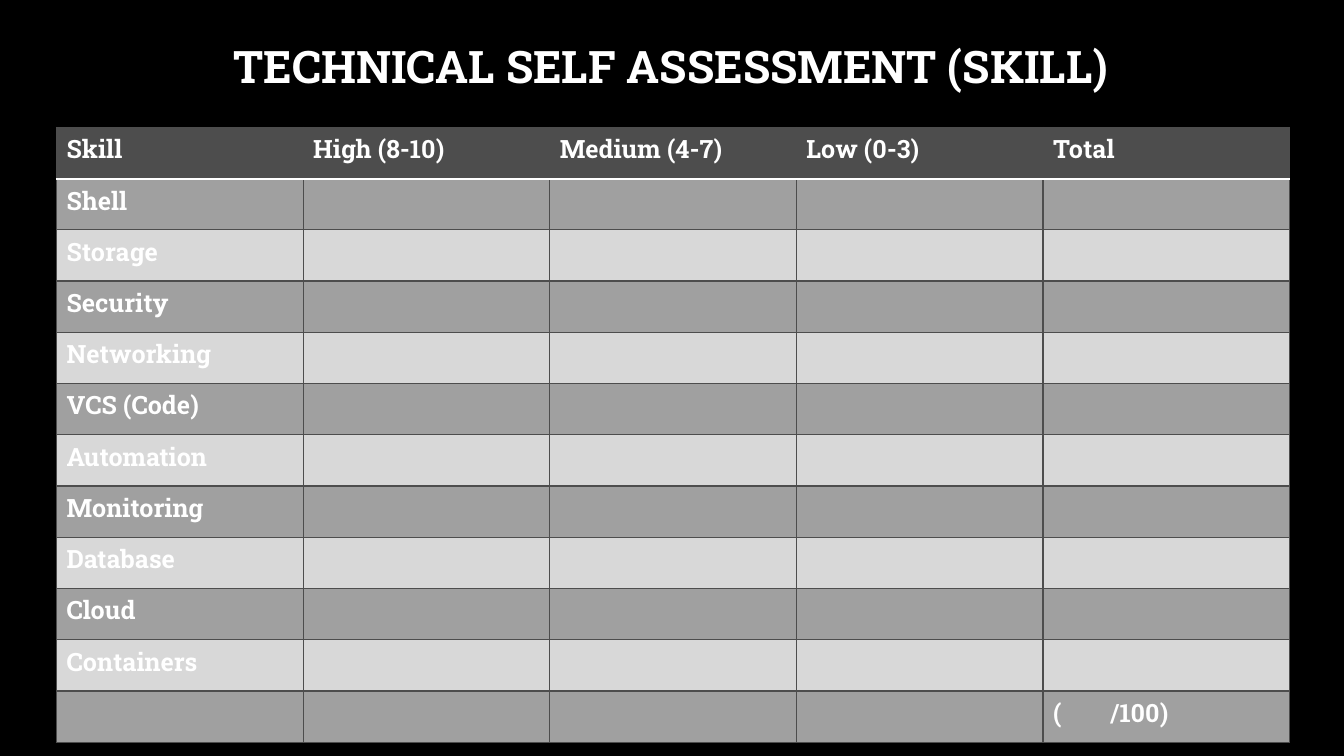
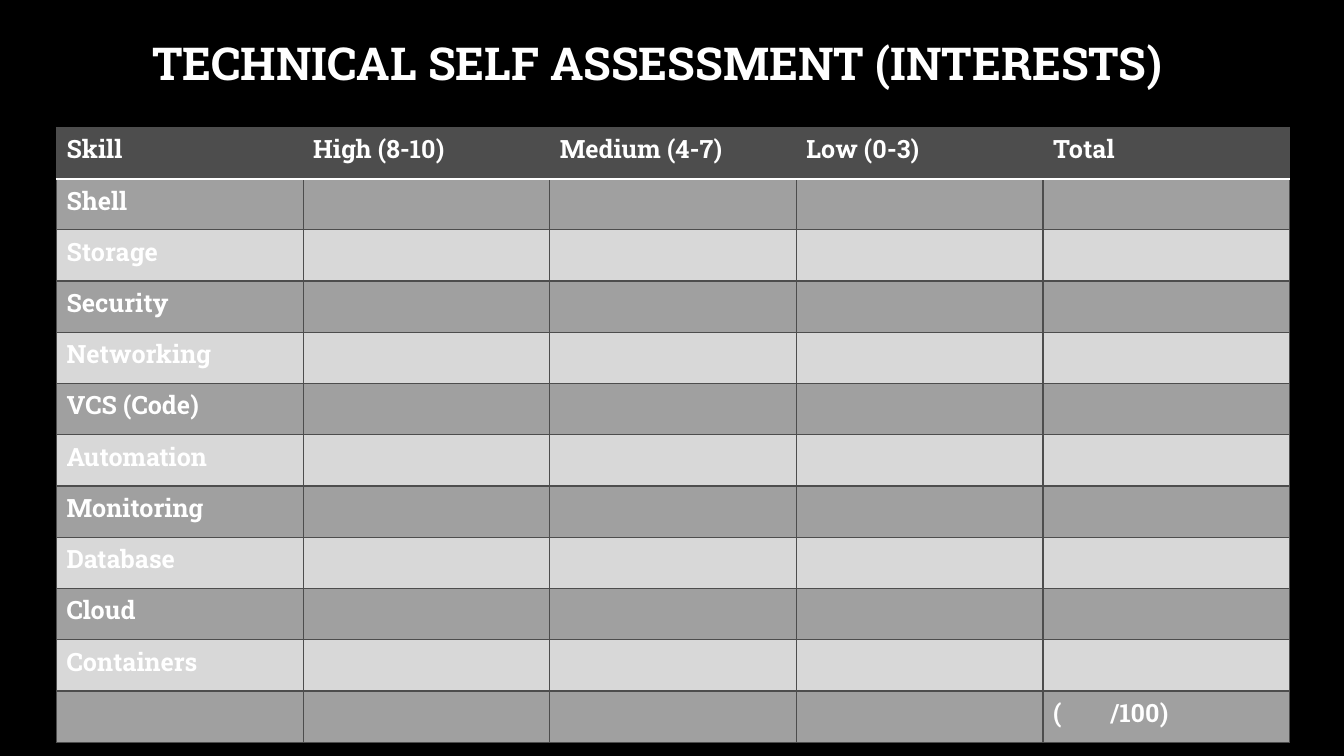
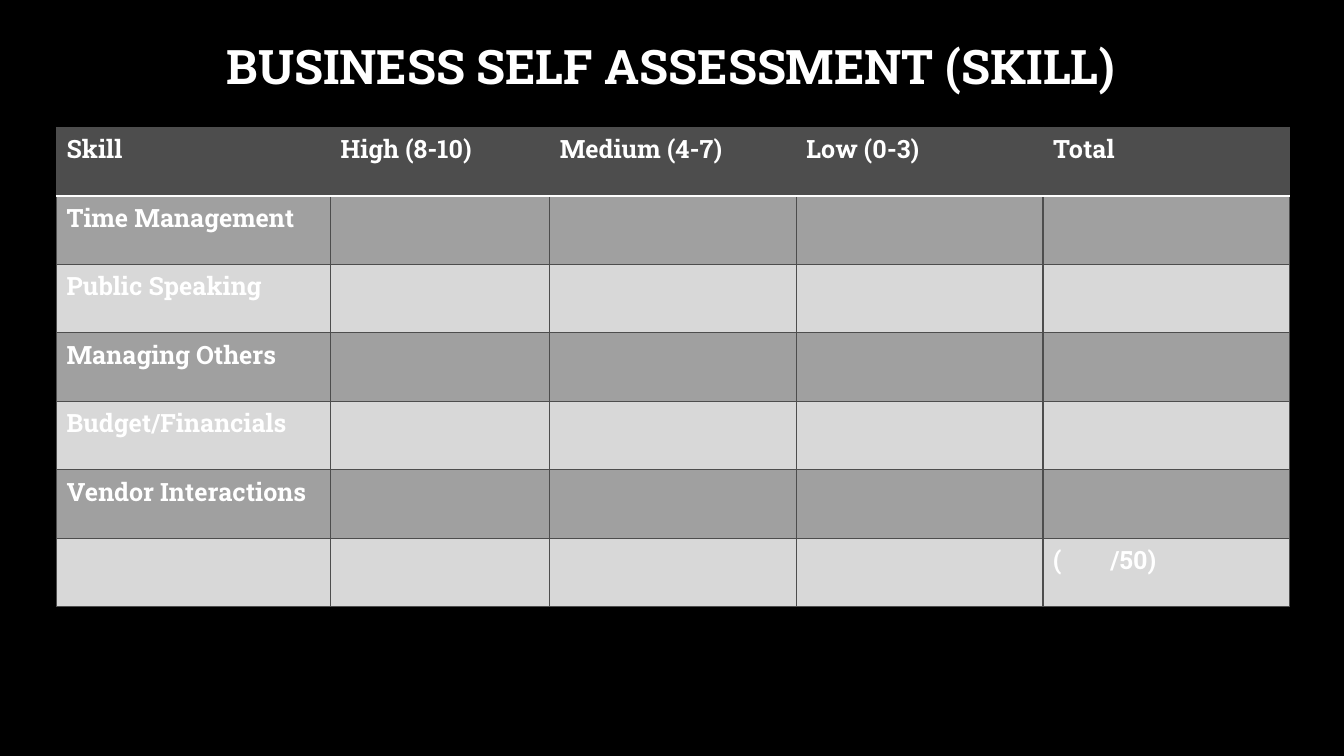
"""Builds three self-assessment slides, each with a title and a scoring table."""
from lxml import etree
from pptx import Presentation
from pptx.dml.color import RGBColor
from pptx.enum.text import MSO_ANCHOR, PP_ALIGN
from pptx.oxml.ns import qn
from pptx.util import Pt

CENTER = PP_ALIGN.CENTER
LEFT = PP_ALIGN.LEFT
MIDDLE = MSO_ANCHOR.MIDDLE

HEADINGS = ["Skill", "High (8-10)", "Medium (4-7)", "Low (0-3)", "Total"]
TECHNICAL_SKILLS = [
    "Shell", "Storage", "Security", "Networking", "VCS (Code)",
    "Automation", "Monitoring", "Database", "Cloud", "Containers",
]
BUSINESS_SKILLS = [
    "Time Management", "Public Speaking", "Managing Others",
    "Budget/Financials", "Vendor Interactions",
]


def color(value):
    return RGBColor.from_string(value)


def write(frame, text, size=18, align=LEFT, line_spacing=None, tab_stop=None):
    paragraph = frame.paragraphs[0]
    paragraph.alignment = align
    paragraph.line_spacing = line_spacing
    run = paragraph.add_run()
    run.text = text
    run.font.name = Deck.FONT
    run.font.size = Pt(size)
    run.font.bold = True
    run.font.color.rgb = color(Deck.WHITE)
    if tab_stop:
        tabs = etree.SubElement(paragraph._p.get_or_add_pPr(), qn("a:tabLst"))
        etree.SubElement(tabs, qn("a:tab"), pos=str(Pt(tab_stop)), algn="l")


def set_border(cell, side, line_color, width):
    properties = cell._tc.get_or_add_tcPr()
    line = etree.SubElement(properties, qn(f"a:ln{side}"), w=str(Pt(width)))
    fill = etree.SubElement(line, qn("a:solidFill"))
    etree.SubElement(fill, qn("a:srgbClr"), val=line_color)


class Deck:
    FONT = "Roboto Slab"
    BLACK = "000000"
    WHITE = "FFFFFF"
    DARK = "4D4D4D"
    BANDS = ["D8D8D8", "A0A0A0"]
    TABLE_LEFT, TABLE_TOP, TABLE_WIDTH = 40.4, 91, 880.8
    SCORE_TAB = 41

    def __init__(self):
        self.presentation = Presentation()
        self.presentation.slide_width = Pt(960)
        self.presentation.slide_height = Pt(540)
        background = self.presentation.slide_master.background.fill
        background.solid()
        background.fore_color.rgb = color(self.BLACK)
        self.slide = None

    def add_slide(self):
        self.slide = self.presentation.slides.add_slide(self.presentation.slide_layouts[6])

    def title(self, text, size, left=72, top=26.5, width=815, height=46):
        shape = self.slide.shapes.add_textbox(Pt(left), Pt(top), Pt(width), Pt(height))
        shape.text_frame.word_wrap = True
        shape.text_frame.vertical_anchor = MIDDLE
        write(shape.text_frame, text, size=size, align=CENTER, line_spacing=0.9)

    def score_table(self, skills, row_height, widen_first=0):
        row_count = len(skills) + 2
        table = self.slide.shapes.add_table(
            row_count, len(HEADINGS), Pt(self.TABLE_LEFT), Pt(self.TABLE_TOP),
            Pt(self.TABLE_WIDTH), Pt(row_height * row_count)).table
        table.first_row = False
        table.horz_banding = False
        table.columns[0].width += Pt(widen_first)
        table.columns[1].width -= Pt(widen_first)
        for row_index in range(row_count):
            for column_index in range(len(HEADINGS)):
                self.style_cell(table.cell(row_index, column_index), row_index)
        for column_index, heading in enumerate(HEADINGS):
            write(table.cell(0, column_index).text_frame, heading)
        for row_index, skill in enumerate(skills, 1):
            write(table.cell(row_index, 0).text_frame, skill)
        write(table.cell(row_count - 1, len(HEADINGS) - 1).text_frame,
              f"(\t/{len(skills) * 10})", tab_stop=self.SCORE_TAB)

    def style_cell(self, cell, row_index):
        header_edge = {0: "B", 1: "T"}.get(row_index)
        for side in "LRTB":
            if side == header_edge:
                set_border(cell, side, self.WHITE, 1.5)
            else:
                set_border(cell, side, self.DARK, 1)
        cell.fill.solid()
        cell.fill.fore_color.rgb = color(self.BANDS[row_index % 2] if row_index else self.DARK)


def main():
    deck = Deck()

    deck.add_slide()
    deck.title("TECHNICAL SELF ASSESSMENT (SKILL)", 32)
    deck.score_table(TECHNICAL_SKILLS, 36.6)

    deck.add_slide()
    deck.title("TECHNICAL SELF ASSESSMENT (INTERESTS)", 32.4, left=52.5, top=10, width=834.5, height=74)
    deck.score_table(TECHNICAL_SKILLS, 36.6)

    deck.add_slide()
    deck.title("BUSINESS SELF ASSESSMENT (SKILL)", 34)
    deck.score_table(BUSINESS_SKILLS, 48.9, widen_first=19.6)

    deck.presentation.save("out.pptx")


if __name__ == "__main__":
    main()
